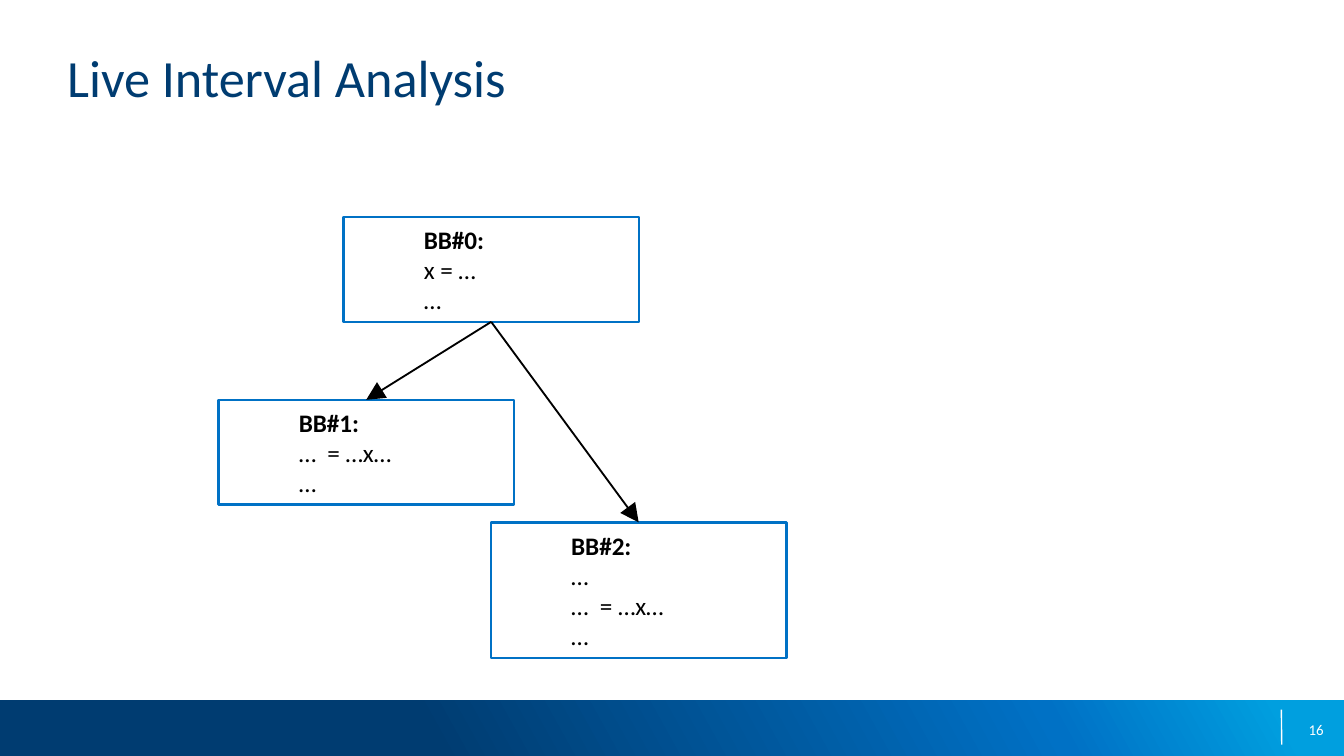
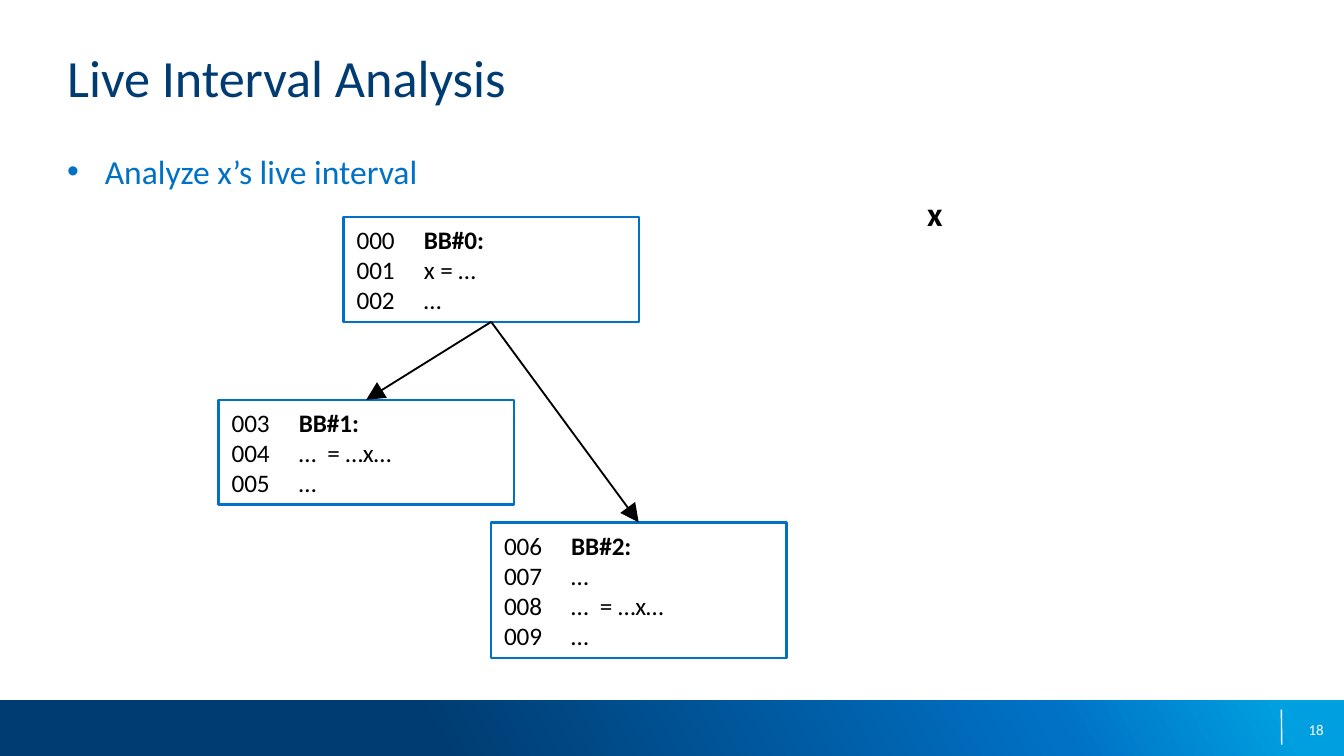
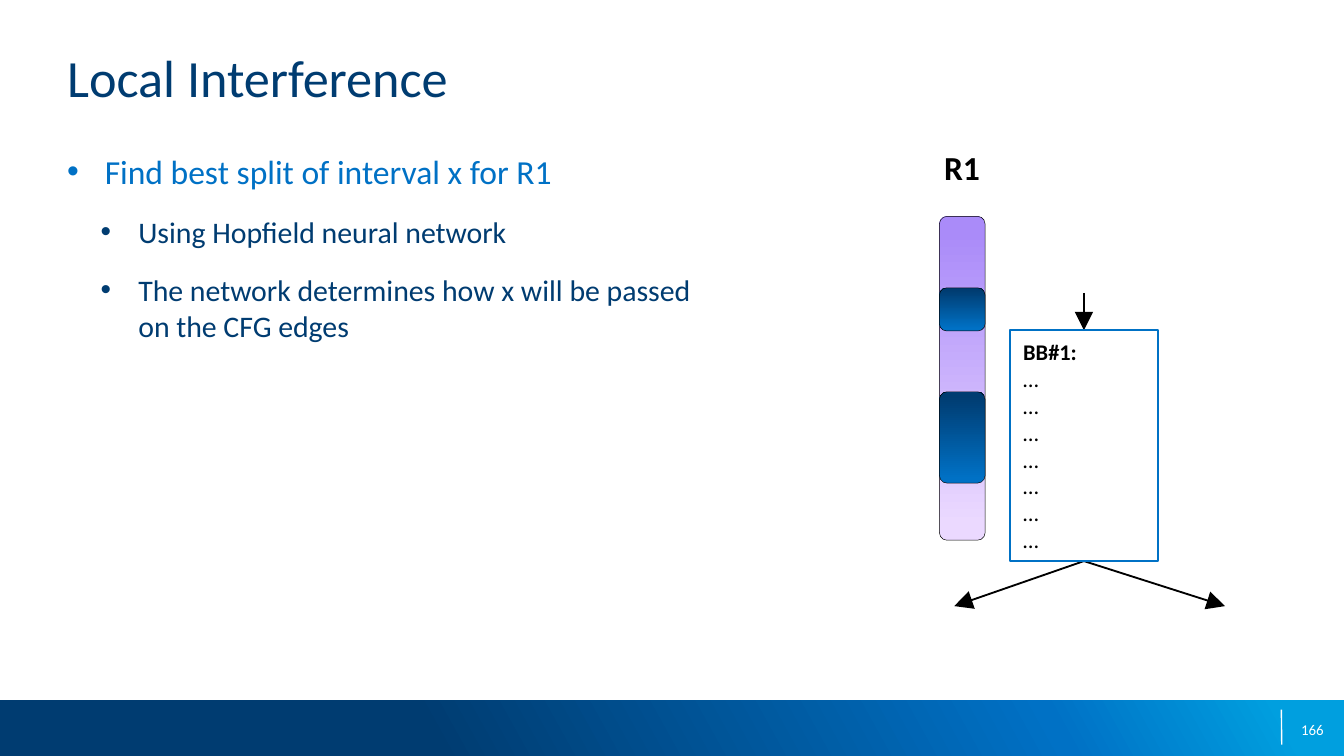
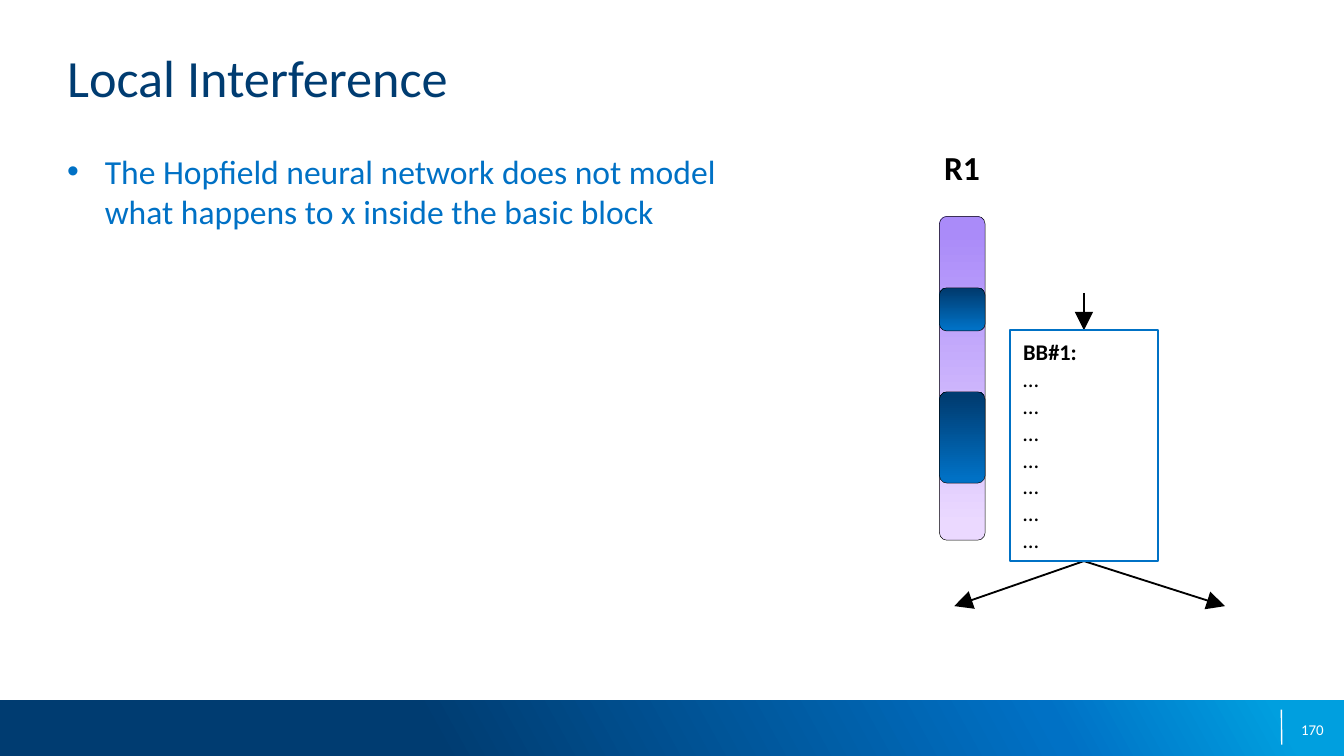
from copy import deepcopy
from itertools import count

from lxml import etree
from pptx import Presentation
from pptx import util as u
from pptx.dml.color import RGBColor
from pptx.enum import shapes, text
from pptx.oxml.ns import qn

NAVY = RGBColor(0x00, 0x3C, 0x71)
BLUE = RGBColor(0x00, 0x71, 0xC5)
SKY = RGBColor(0x00, 0x9F, 0xDF)
LILAC = RGBColor(0xEB, 0xD9, 0xFF)
VIOLET = RGBColor(0xAA, 0x8B, 0xF9)
BLACK = RGBColor(0, 0, 0)
WHITE = RGBColor(0xFF, 0xFF, 0xFF)

FONT = "Calibri"
CELL = u.Inches(0.1)  # the grid: 100 columns of square cells
COLS, ROWS = 100, 56.25
LEFT, WIDE = 5, 90
INDENT = u.Inches(0.28)
LEVELS = [(18, BLUE, INDENT), (16, NAVY, u.Inches(0.53))]

RECT = shapes.MSO_SHAPE.RECTANGLE
ROUND = shapes.MSO_SHAPE.ROUNDED_RECTANGLE

BLOCKS = [  # column, row, height, lines
    (25.55, 16.15, 7.8, ["BB#0:", "x = …", "…"]),
    (16.25, 29.75, 7.8, ["BB#1:", "…  = …x…", "…"]),
    (36.52, 38.87, 10.1, ["BB#2:", "…", "…  = …x…", "…"]),
]


def grid(*cells):
    return [int(c * CELL) for c in cells]


def style(para, size, color, bold=False):
    font = para.font
    font.name, font.size, font.bold = FONT, u.Pt(size), bold
    font.color.rgb = color


def label(slide, place, words, size, color, bold=False, align=None):
    frame = slide.shapes.add_textbox(*grid(*place)).text_frame
    frame.word_wrap = True
    frame.margin_left = frame.margin_right = 0
    frame.margin_top = frame.margin_bottom = 0
    para = frame.paragraphs[0]
    para.text = words
    para.alignment = align
    style(para, size, color, bold)
    return frame


def shade(shape, stops, angle):
    """Fill with a gradient of (percent, colour) stops."""
    fill = shape.fill
    fill.gradient()
    fill.gradient_angle = angle
    first = fill.gradient_stops[0]._gs
    for _ in stops[2:]:
        first.addnext(deepcopy(first))
    for stop, (part, color) in zip(fill.gradient_stops, stops):
        stop.position = part / 100
        stop.color.rgb = color


def panel(slide, kind, place, line=None, width=0):
    shape = slide.shapes.add_shape(kind, *grid(*place))
    shape.shadow.inherit = False
    if line is None:
        shape.line.fill.background()
    else:
        shape.line.color.rgb = line
        shape.line.width = u.Pt(width)
    return shape


def link(slide, start, end, color=BLACK, width=1, arrow=True):
    wire = slide.shapes.add_connector(
        shapes.MSO_CONNECTOR.STRAIGHT, *grid(*start, *end))
    wire.line.color.rgb = color
    wire.line.width = u.Pt(width)
    if arrow:
        etree.SubElement(wire.line._ln, qn("a:tailEnd"),
                         type="triangle", w="lg", len="lg")
    etree.SubElement(wire._element.spPr, qn("a:effectLst"))
    return wire


def block(slide, place, lines, size):
    """Draw a basic block; each line is (lead, words), the first one bold."""
    box = panel(slide, RECT, place, BLUE, 1.25)
    box.fill.background()
    frame = box.text_frame
    frame.word_wrap = True
    for i, (lead, words) in enumerate(lines):
        para = frame.paragraphs[0] if i == 0 else frame.add_paragraph()
        para.alignment = text.PP_ALIGN.LEFT
        if lead:
            tabs = etree.SubElement(para._p.get_or_add_pPr(), qn("a:tabLst"))
            etree.SubElement(tabs, qn("a:tab"), pos=str(5 * CELL), algn="l")
            para.add_run().text = lead
        run = para.add_run()
        run.text = words
        style(para, size, BLACK)
        run.font.bold = i == 0
    return box


def bullets(slide, items):
    frame = slide.shapes.add_textbox(
        *grid(LEFT, 11.2, WIDE, 37.5)).text_frame
    frame.word_wrap = True
    frame.margin_left = frame.margin_right = 0
    frame.margin_top = frame.margin_bottom = 0
    for i, (level, words) in enumerate(items):
        size, color, margin = LEVELS[level]
        para = frame.paragraphs[0] if i == 0 else frame.add_paragraph()
        para.text = words
        para.level = level
        if i:
            para.space_before = u.Pt(12)
        props = para._p.get_or_add_pPr()
        props.set("marL", str(margin))
        props.set("indent", str(-INDENT))
        etree.SubElement(props, qn("a:buFont"), typeface="Arial")
        etree.SubElement(props, qn("a:buChar"), char="•")
        style(para, size, color)


def page(deck, title, number):
    slide = deck.slides.add_slide(deck.slide_layouts[6])
    band = panel(slide, RECT, (0, 52.1, COLS, ROWS - 52.1))
    shade(band, [(32, NAVY), (78, BLUE), (95, SKY)], 29)
    link(slide, (95.34, 52.8), (95.37, 55.4), WHITE, 0.75, arrow=False)
    frame = label(slide, (75.2, 52.8, 23.3, 3), str(number), 8, WHITE,
                  align=text.PP_ALIGN.RIGHT)
    frame.vertical_anchor = text.MSO_ANCHOR.MIDDLE
    label(slide, (LEFT, 3.4, WIDE, 7.3), title, 28, NAVY)
    return slide


def tag(slide, col, row, words):
    label(slide, (col, row, 3.9, 3), words, 18, BLACK, True,
          text.PP_ALIGN.CENTER)


def flow(slide, numbered):
    """Draw the branching blocks, with or without running line numbers."""
    index = count()
    boxes = []
    for col, row, high, lines in BLOCKS:
        pairs = [(f"{next(index):03}\t" if numbered else "\t", words)
                 for words in lines]
        boxes.append(block(slide, (col, row, 22, high), pairs, 13.5))
    root, *leaves = boxes
    for leaf in leaves:
        wire = link(slide, (0, 0), (1, 1))
        wire.begin_connect(root, 2)
        wire.end_connect(leaf, 0)


def usage(slide):
    """Draw register R1 with its busy spans beside the basic block."""
    mid, top, base = 80.65, 24.58, 41.75
    for start, end in [((mid, base), (91.15, 45.1)),
                       ((mid, 21.8), (mid, top)),
                       ((mid, base), (71, 45.1))]:
        link(slide, start, end)
    lines = [("", "BB#1:")] + [("", "…")] * 7
    block(slide, (75.15, top, 11, base - top), lines, 12)
    tag(slide, 69.63, 10.95, "R1")
    for row, high, low, peak in [(16.1, 24.1, LILAC, VIOLET),
                                 (29.15, 6.8, BLUE, NAVY),
                                 (21.42, 3.2, BLUE, NAVY)]:
        bar = panel(slide, ROUND, (69.9, row, 3.4, high), BLACK, 0.25)
        shade(bar, [(5, low), (95, peak)], 90)


def main():
    deck = Presentation()
    deck.slide_width, deck.slide_height = grid(COLS, ROWS)

    flow(page(deck, "Live Interval Analysis", 16), numbered=False)

    slide = page(deck, "Live Interval Analysis", 18)
    bullets(slide, [(0, "Analyze x’s live interval")])
    flow(slide, numbered=True)
    tag(slide, 67.6, 14.35, "x")

    for number, items in [
        (166, [(0, "Find best split of interval x for R1"),
               (1, "Using Hopfield neural network"),
               (1, "The network determines how x will be passed \v"
                   "on the CFG edges")]),
        (170, [(0, "The Hopfield neural network does not model \v"
                   "what happens to x inside the basic block")]),
    ]:
        slide = page(deck, "Local Interference", number)
        bullets(slide, items)
        usage(slide)

    deck.save("out.pptx")


if __name__ == "__main__":
    main()
